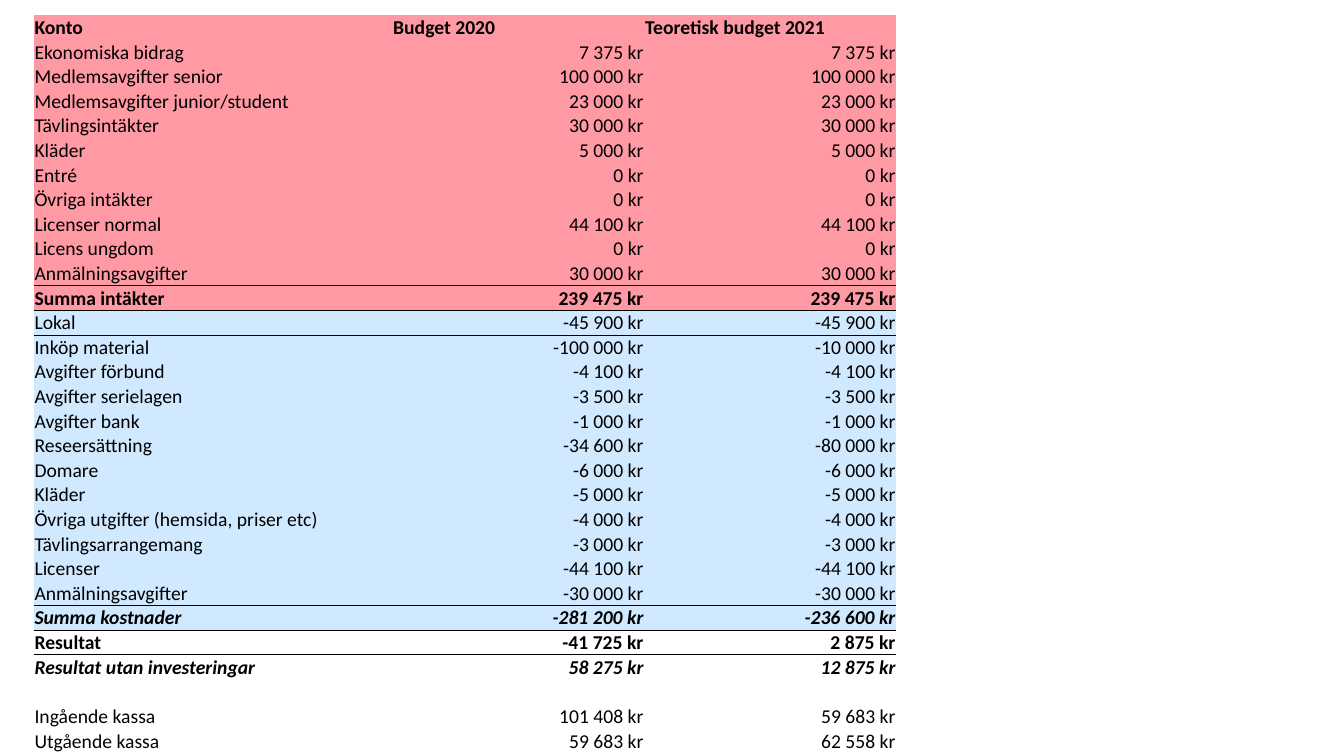
from lxml import etree
from pptx import Presentation
from pptx.dml.color import RGBColor
from pptx.enum.text import MSO_ANCHOR, PP_ALIGN
from pptx.oxml.ns import qn
from pptx.util import Cm, Pt

BOTTOM = MSO_ANCHOR.BOTTOM
LEFT, RIGHT = PP_ALIGN.LEFT, PP_ALIGN.RIGHT
BLACK = RGBColor(0x00, 0x00, 0x00)
WHITE = RGBColor(0xFF, 0xFF, 0xFF)
PINK = RGBColor(0xFF, 0x99, 0xA4)
BLUE = RGBColor(0xD0, 0xE9, 0xFF)
PLAIN_TABLE = "{2D5ABB26-0587-4C30-8999-92F81FD0307C}"
BLANK_LAYOUT = 6

HEADER = ("Konto", "Budget 2020", "Teoretisk budget 2021")
INCOME = [
    ("Ekonomiska bidrag", "7 375 kr", "7 375 kr"),
    ("Medlemsavgifter senior", "100 000 kr", "100 000 kr"),
    ("Medlemsavgifter junior/student", "23 000 kr", "23 000 kr"),
    ("Tävlingsintäkter", "30 000 kr", "30 000 kr"),
    ("Kläder", "5 000 kr", "5 000 kr"),
    ("Entré", "0 kr", "0 kr"),
    ("Övriga intäkter", "0 kr", "0 kr"),
    ("Licenser normal", "44 100 kr", "44 100 kr"),
    ("Licens ungdom", "0 kr", "0 kr"),
    ("Anmälningsavgifter", "30 000 kr", "30 000 kr"),
    ("Summa intäkter", "239 475 kr", "239 475 kr"),
]
COSTS = [
    ("Lokal", "-45 900 kr", "-45 900 kr"),
    ("Inköp material", "-100 000 kr", "-10 000 kr"),
    ("Avgifter förbund", "-4 100 kr", "-4 100 kr"),
    ("Avgifter serielagen", "-3 500 kr", "-3 500 kr"),
    ("Avgifter bank", "-1 000 kr", "-1 000 kr"),
    ("Reseersättning", "-34 600 kr", "-80 000 kr"),
    ("Domare", "-6 000 kr", "-6 000 kr"),
    ("Kläder", "-5 000 kr", "-5 000 kr"),
    ("Övriga utgifter (hemsida, priser etc)", "-4 000 kr", "-4 000 kr"),
    ("Tävlingsarrangemang", "-3 000 kr", "-3 000 kr"),
    ("Licenser", "-44 100 kr", "-44 100 kr"),
    ("Anmälningsavgifter", "-30 000 kr", "-30 000 kr"),
    ("Summa kostnader", "-281 200 kr", "-236 600 kr"),
]
RESULT = [
    ("Resultat", "-41 725 kr", "2 875 kr"),
    ("Resultat utan investeringar", "58 275 kr", "12 875 kr"),
]
CASH = [
    ("", "", ""),
    ("Ingående kassa", "101 408 kr", "59 683 kr"),
    ("Utgående kassa", "59 683 kr", "62 558 kr"),
]
SECTIONS = [([HEADER] + INCOME, PINK), (COSTS, BLUE), (RESULT, WHITE), (CASH, None)]
SUMS = {"Summa intäkter", "Summa kostnader"}
BOLD = SUMS | {"Konto", "Resultat", "Resultat utan investeringar"}
ITALIC = {"Summa kostnader", "Resultat utan investeringar"}


class BudgetPage:
    font = "Calibri"
    size = Pt(14)
    rule = Pt(0.5)
    side_margin = Cm(0.02)
    top_margin = Cm(0.01)

    def __init__(self, deck):
        self.slide = deck.slides.add_slide(deck.slide_layouts[BLANK_LAYOUT])

    def table(self, left, top, widths, row_height, rows):
        frame = self.slide.shapes.add_table(
            len(rows), len(widths), left, top, sum(widths), row_height * len(rows))
        table = frame.table
        table.first_row = table.horz_banding = False
        table._tbl.tblPr.find(qn("a:tableStyleId")).text = PLAIN_TABLE
        for column, width in zip(table.columns, widths):
            column.width = width
        for row in table.rows:
            row.height = row_height
        return table

    def cell(self, cell, text, fill, align, bold, italic):
        cell.vertical_anchor = BOTTOM
        cell.margin_left = cell.margin_right = self.side_margin
        cell.margin_top, cell.margin_bottom = self.top_margin, 0
        if fill is None:
            cell.fill.background()
        else:
            cell.fill.solid()
            cell.fill.fore_color.rgb = fill
        para = cell.text_frame.paragraphs[0]
        para.text = text
        para.alignment = align
        for span in para.runs:
            font = span.font
            font.name, font.size = self.font, self.size
            font.bold, font.italic = bold, italic
            font.color.rgb = BLACK
        if not text:
            etree.SubElement(para._p, qn("a:endParaRPr"), sz=str(int(self.size.pt * 100)))

    def borders(self, cell, edges):
        properties = cell._tc.get_or_add_tcPr()
        for position, edge in enumerate(edges):
            line = etree.Element(qn(f"a:ln{edge}"), w=str(self.rule))
            fill = etree.SubElement(line, qn("a:solidFill"))
            etree.SubElement(fill, qn("a:srgbClr"), val=str(BLACK))
            properties.insert(position, line)


deck = Presentation()
deck.slide_width, deck.slide_height = Cm(33.87), Cm(19.05)
page = BudgetPage(deck)

rows = [(texts, fill) for section, fill in SECTIONS for texts in section]
sum_rows = {index for index, (texts, _) in enumerate(rows) if texts[0] in SUMS}
budget = page.table(Cm(0.85), Cm(0.38), [Cm(9.04), Cm(6.35), Cm(6.35)], Cm(0.62), rows)

for index, (texts, fill) in enumerate(rows):
    account = texts[0]
    edges = ""
    if sum_rows & {index, index - 1}:
        edges += "T"
    if sum_rows & {index, index + 1}:
        edges += "B"
    for column, text in enumerate(texts):
        cell = budget.cell(index, column)
        align = LEFT if index == 0 or column == 0 else RIGHT
        page.cell(cell, text, fill, align, account in BOLD, account in ITALIC)
        page.borders(cell, edges)

deck.save("out.pptx")
